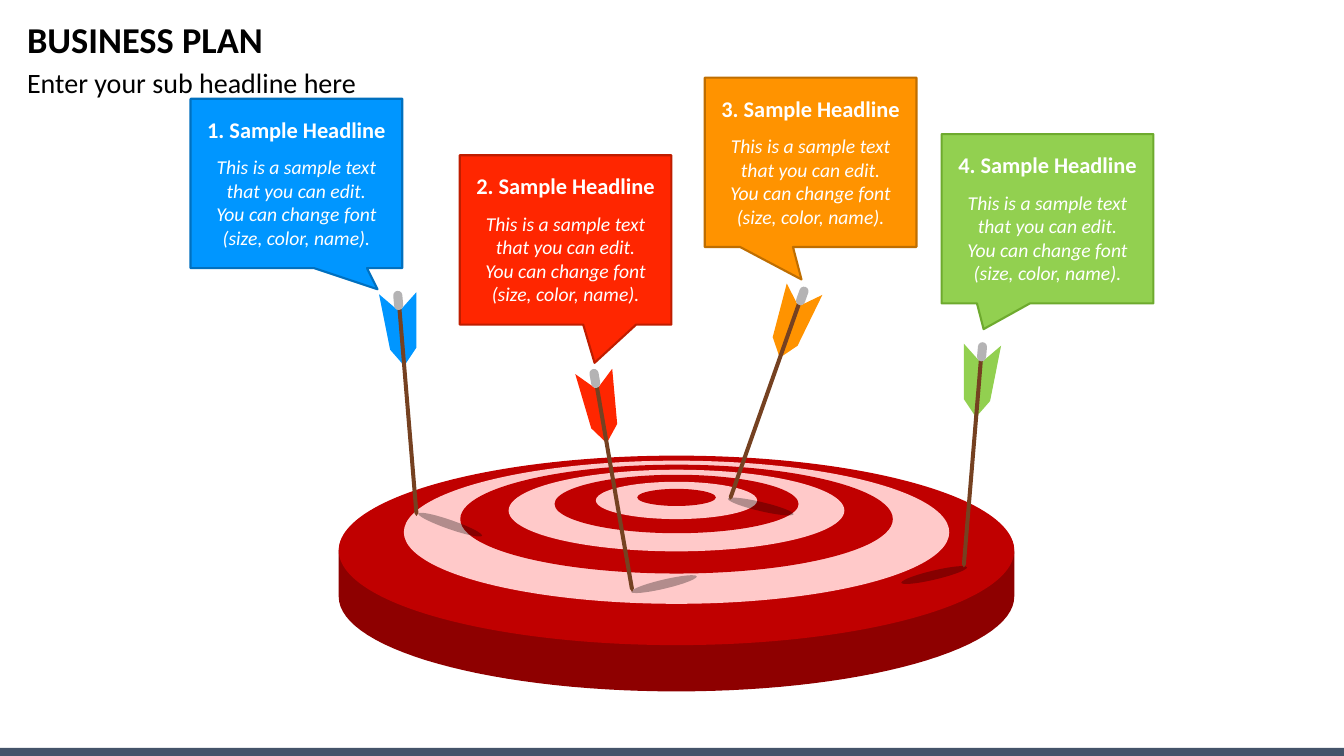
from math import cos, pi, radians, sin
from lxml import etree
from pptx import Presentation
from pptx.dml.color import RGBColor
from pptx.enum.shapes import MSO_SHAPE
from pptx.enum.text import MSO_ANCHOR, PP_ALIGN
from pptx.oxml.ns import qn
from pptx.util import Inches, Pt

RECT, OVAL = MSO_SHAPE.RECTANGLE, MSO_SHAPE.OVAL
ROUNDED, CALLOUT = MSO_SHAPE.ROUNDED_RECTANGLE, MSO_SHAPE.RECTANGULAR_CALLOUT
LEFT, CENTER = PP_ALIGN.LEFT, PP_ALIGN.CENTER
MIDDLE = MSO_ANCHOR.MIDDLE
COLORS = {
    "bar": "44546A", "side": "8E0000", "red": "C00000", "pink": "FFC9C9",
    "shaft": "754121", "nock": "B4B3B4", "shadow": "000000",
    "text": "000000", "white": "FFFFFF",
}
BODY = "This is a sample text that you can edit. You can change font (size, color, name)."

prs = Presentation()
prs.slide_width, prs.slide_height = Inches(13.33), Inches(7.5)
s = prs.slides.add_slide(prs.slide_layouts[6])


def add_filled(kind, box, color):
    if kind is None:
        points = [(Inches(x), Inches(y)) for x, y in box]
        builder = s.shapes.build_freeform(*points[0])
        builder.add_line_segments(points[1:], close=True)
        sp = builder.convert_to_shape()
    else:
        sp = s.shapes.add_shape(kind, *[Inches(v) for v in box])
    sp.shadow.inherit = False
    sp.fill.solid()
    sp.fill.fore_color.rgb = RGBColor.from_string(color)
    sp.line.fill.background()
    return sp


def add_text(box, text, size, color, align, bold=False, italic=False):
    tf = s.shapes.add_textbox(*[Inches(v) for v in box]).text_frame
    tf.word_wrap = True
    p = tf.paragraphs[0]
    p.text, p.alignment = text, align
    p.font.name, p.font.size = "Calibri", Pt(size)
    p.font.bold, p.font.italic = bold, italic
    p.font.color.rgb = RGBColor.from_string(color)
    return tf


add_filled(RECT, (0, 7.42, 13.33, 0.08), COLORS["bar"])
tf = add_text((0.17, 0.17, 13, 0.48), "BUSINESS PLAN", 26, COLORS["text"], LEFT, bold=True)
tf.vertical_anchor = MIDDLE
tf.paragraphs[0].line_spacing = 0.9
tf = add_text((0.17, 0.64, 13, 0.64), "Enter your sub headline here", 20, COLORS["text"], LEFT)
tf.paragraphs[0].line_spacing = 0.9
tf.paragraphs[0].space_before = Pt(10)

STEPS = 60
side = []
for center_y, start in ((5.92, 0), (5.47, pi)):
    for i in range(STEPS + 1):
        angle = start + pi * i / STEPS
        side.append((6.71 + 3.35 * cos(angle), center_y + 0.94 * sin(angle)))
add_filled(None, side, COLORS["side"])

rings = [(4.52, 6.7, 1.88), (4.57, 5.41, 1.42), (4.61, 4.29, 1.08), (4.66, 3.33, 0.81),
         (4.71, 2.42, 0.58), (4.78, 1.6, 0.37), (4.85, 0.78, 0.17)]
for i, (top, width, height) in enumerate(rings):
    add_filled(OVAL, (6.71 - width / 2, top, width, height), COLORS["pink" if i % 2 else "red"])

FEATHER = [(-0.37, -2.2), (-0.17, -2.03), (0, -2.22), (0, -1.67), (-0.12, -1.49), (-0.26, -1.65)]
SHAFT = [(0.02, -0.03), (0, 0), (-0.02, -0.03), (-0.2, -2.2), (-0.16, -2.2)]
NOCK = (-0.18, -2.14)
NOCK_W, NOCK_H = 0.09, 0.19

arrows = [
    ("0096FF", (4.13, 5.12), 1, 0, (4.13, 5.16), 19.2),
    ("FF2600", (6.27, 5.87), 1, -5.1, (6.25, 5.75), -13.3),
    ("FF9300", (7.24, 4.96), -1, 14.7, (7.21, 4.98), 13.3),
    ("92D050", (9.56, 5.63), -1, 0, (8.93, 5.66), -13.3),
]
for color, (tip_x, tip_y), side_sign, turn, shadow_at, shadow_turn in arrows:
    sp = add_filled(OVAL, (*shadow_at, 0.67, 0.09), COLORS["shadow"])
    sp.rotation = shadow_turn
    clr = sp.fill._xPr.find(qn("a:solidFill"))[0]
    etree.SubElement(clr, qn("a:alpha")).set("val", "30000")

    c, d = cos(radians(turn)), sin(radians(turn))
    feather, shaft, nock = [
        [(tip_x + side_sign * x * c - y * d, tip_y + side_sign * x * d + y * c) for x, y in part]
        for part in (FEATHER, SHAFT, [NOCK])
    ]
    add_filled(None, feather, color)
    add_filled(None, shaft, COLORS["shaft"])
    x, y = nock[0]
    sp = add_filled(ROUNDED, (x - NOCK_W / 2, y - NOCK_H / 2, NOCK_W, NOCK_H), COLORS["nock"])
    sp.adjustments[0] = 0.5
    sp.rotation = turn - 5 * side_sign

callouts = [
    (1.89, 0.98, 0.383, 0.625, "0096FF", "0070BF"),
    (4.56, 1.54, 0.137, 0.726, "FF2600", "BF1D00"),
    (6.99, 0.77, -0.043, 0.692, "FF9300", "BF6E00"),
    (9.34, 1.33, -0.302, 0.652, "92D050", "6EAA2E"),
]
for number, (x, y, point_x, point_y, fill, line) in enumerate(callouts, 1):
    sp = add_filled(CALLOUT, (x, y, 2.1, 1.68), fill)
    sp.adjustments[0], sp.adjustments[1] = point_x, point_y
    sp.line.color.rgb = RGBColor.from_string(line)
    sp.line.width = Pt(1.5)
    add_text((x, y + 0.12, 2.1, 0.37), f"{number}. Sample Headline", 16,
             COLORS["white"], CENTER, bold=True)
    add_text((x + 0.11, y + 0.51, 1.88, 1.04), BODY, 14, COLORS["white"], CENTER, italic=True)

prs.save("out.pptx")
